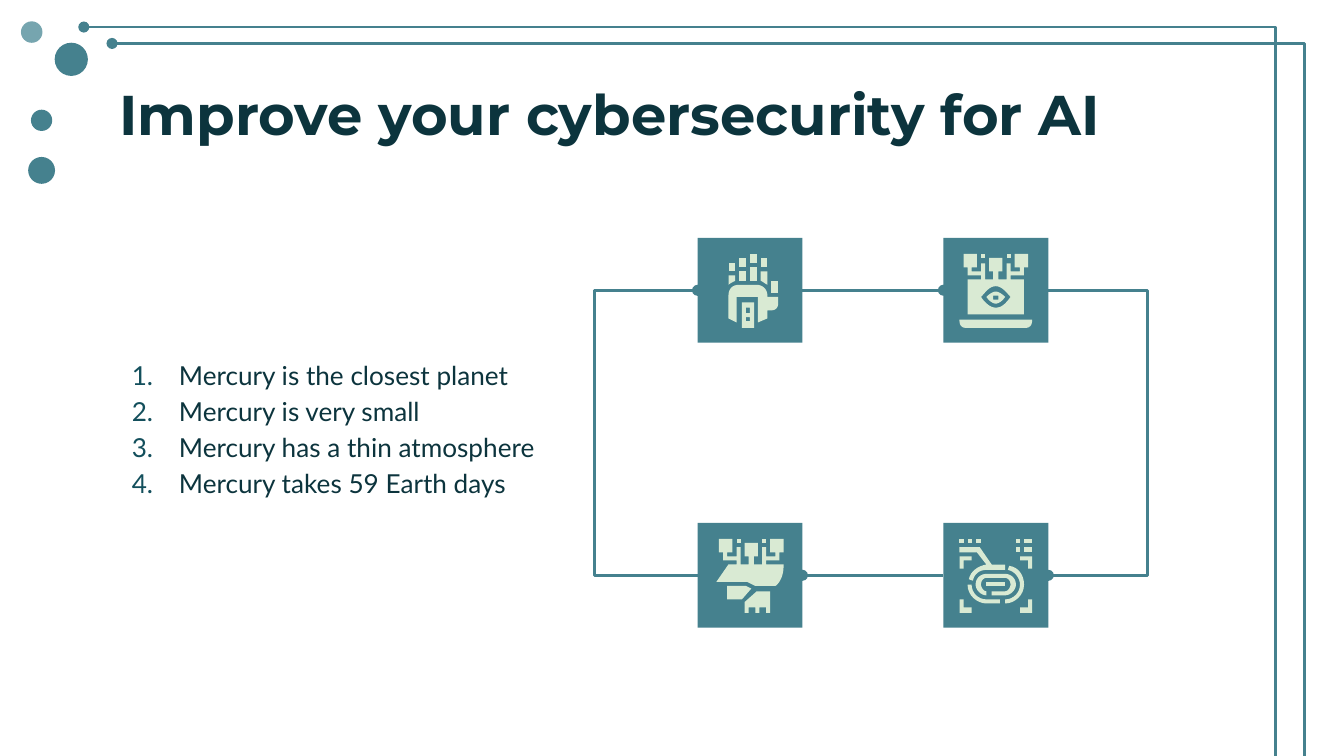
import pptx
import pptx.util
import pptx.dml.color
import pptx.enum.shapes
import pptx.enum.text
import pptx.oxml
import pptx.oxml.ns
from lxml import etree

Pt = pptx.util.Pt
RGBColor = pptx.dml.color.RGBColor
SHAPE = pptx.enum.shapes.MSO_SHAPE
CONNECTOR = pptx.enum.shapes.MSO_CONNECTOR
qn = pptx.oxml.ns.qn

TEAL = RGBColor(0x45, 0x81, 0x8E)
PALE_TEAL = RGBColor(0x76, 0xA5, 0xAF)
NUMBER_TEAL = RGBColor(0x13, 0x4F, 0x5C)
INK = RGBColor(0x0C, 0x34, 0x3D)
MINT = RGBColor(0xD9, 0xEA, 0xD3)

TILE = 56.2
LEFT, RIGHT = 373.7, 505.4
TOP, BOTTOM = 127.4, 280.1
GRID = Pt(0.72)
CURVE_STEPS = 8

DOTS = [(17, 17.2, 11.5, PALE_TEAL), (22.3, 91.3, 14.4, TEAL),
        (22.3, 64.5, 11.4, TEAL), (38.2, 31.8, 17.8, TEAL)]

FACTS = ["Mercury is the closest planet", "Mercury is very small",
         "Mercury has a thin atmosphere", "Mercury takes 59 Earth days"]

DIGITAL_HEAD = [
    "R 33 48 42 67 / R 36 52 39 56 / R 36 59 39 62",
    "R 23 19 28 25", "R 31 15 36 22", "R 39 12 44 19", "R 47 15 52 22",
    "R 31 25 36 32", "R 39 22 44 32", "R 55 32 60 41",
    "23 28 23 35 C 24 34 26 33 28 32 28 28",
    "47 25 47 32 C 49 33 50 34 52 35 52 25",
    "31 35 C 26 35 23 38 23 43 23 60 29 63 29 44 45 44 45 63 52 60 52 54 55 54"
    " C 58 54 60 52 60 49 60 44 52 44 52 43 C 52 38 48 35 44 35",
]
LAPTOP = [
    "R 28 12 31 15", "R 47 12 50 15",
    "39 36 C 44 36 48 42 50 44 C 47 48 44 52 39 52 C 34 52 30 47 28 44"
    " C 31 41 34 36 39 36 / 53 12 53 22 57 22 57 25 50 25 50 19 47 19 47 31"
    " 41 31 41 25 44 25 44 15 34 15 34 25 37 25 37 31 31 31 31 19 28 19 28 25"
    " 21 25 21 22 25 22 25 12 15 12 15 22 18 22 18 28 28 28 28 31 18 31 18 57"
    " 60 57 60 31 50 31 50 28 60 28 60 22 63 22 63 12",
    "12 61 12 62 C 12 65 14 67 16 67 62 67 C 64 67 66 65 66 62 66 61",
    "R 37 43 41 46 / 39 40 C 37 40 34 42 32 44 C 34 47 37 49 39 49"
    " C 41 49 44 47 46 44 C 44 42 41 40 39 40",
]
HAND = [
    "54 12 54 22 58 22 58 25 51 25 51 18 48 18 48 31 42 31 42 25 45 25 45 15"
    " 35 15 35 25 38 25 38 31 32 31 32 18 29 18 29 25 22 25 22 22 26 22 26 12"
    " 16 12 16 22 19 22 19 28 29 28 29 31 23 31 14 44 37 44 43 47 58 47"
    " C 62 44 64 38 64 33 64 31 51 31 51 28 61 28 61 22 64 22 64 12",
    "R 29 12 32 15", "R 48 12 51 15",
    "44 51 35 59 35 67 38 67 38 63 43 63 43 67 46 67 46 63 51 63 51 67 54 67 54 51",
    "22 47 22 57 33 57 40 49 36 47",
]
FINGERPRINT = [
    "57 25 57 28 63 28 63 34 66 34 66 25", "63 57 63 63 57 63 57 67 66 67 66 57",
    "12 25 12 34 15 34 15 28 21 28 21 25", "12 57 12 67 21 67 21 63 15 63 15 57",
    "12 18 12 22 25 22 32 31 C 26 32 20 36 19 42 22 43 C 23 38 27 35 32 35"
    " 46 35 46 31 36 31 27 18",
    "R 12 12 15 15", "R 18 12 21 15", "R 24 12 28 15", "R 54 12 57 15",
    "R 54 18 57 22", "R 60 12 66 15", "R 60 18 66 22", "R 32 44 46 47",
    "49 32 48 35 C 53 36 57 41 57 46 C 57 52 52 57 46 57 46 60"
    " C 53 60 60 54 60 46 C 60 39 56 33 49 32",
    "18 46 C 18 54 25 60 32 60 42 60 42 57 32 57 C 26 57 21 52 21 46",
    "32 38 C 28 38 24 41 24 46 C 24 50 28 54 32 54 32 51 C 30 51 28 48 28 46"
    " C 28 43 30 41 32 41 46 41 C 48 41 50 43 50 46 C 50 48 48 51 46 51"
    " 36 51 36 54 46 54 C 50 54 54 50 54 46 C 54 41 50 38 46 38",
]


def paint(shape, color):
    shape.shadow.inherit = False
    shape.fill.solid()
    shape.fill.fore_color.rgb = color
    shape.line.fill.background()


def add_solid(page, kind, left, top, size, color):
    shape = page.shapes.add_shape(kind, Pt(left), Pt(top), Pt(size), Pt(size))
    paint(shape, color)
    return shape


def bezier(corners):
    for step in range(1, CURVE_STEPS + 1):
        t = step / CURVE_STEPS
        weights = ((1 - t) ** 3, 3 * t * (1 - t) ** 2, 3 * t * t * (1 - t), t ** 3)
        yield tuple(sum(w * c[axis] for w, c in zip(weights, corners)) for axis in (0, 1))


def contour_points(contour):
    words = contour.split()
    if words[0] == "R":
        left, top, right, bottom = map(int, words[1:])
        return [(left, top), (right, top), (right, bottom), (left, bottom)]
    points = []
    while words:
        curved = words[0] == "C"
        start, count = (1, 6) if curved else (0, 2)
        numbers = [int(word) for word in words[start:start + count]]
        pairs = list(zip(numbers[::2], numbers[1::2]))
        points += bezier([points[-1]] + pairs) if curved else pairs
        words = words[start + count:]
    return points


def add_icon(page, tile, outlines):
    for outline in outlines:
        builder = None
        for contour in outline.split("/"):
            points = [(x * GRID, y * GRID) for x, y in contour_points(contour)]
            if builder is None:
                builder = page.shapes.build_freeform(*points[0])
            else:
                builder.move_to(*points[0])
            builder.add_line_segments(points[1:], close=True)
        paint(builder.convert_to_shape(tile.left, tile.top), MINT)


def add_line(page, kind, begin, end, dot, bend_x=None):
    line = page.shapes.add_connector(kind, *(Pt(value) for value in begin + end))
    line.line.color.rgb = TEAL
    line.line.width = Pt(1.5)
    properties = line.line._get_or_add_ln()
    etree.SubElement(properties, qn("a:" + dot), type="oval")
    etree.SubElement(line._element.spPr, qn("a:effectLst"))
    if bend_x is not None:
        share = (bend_x - begin[0]) / (end[0] - begin[0])
        guides = line._element.spPr.find(qn("a:prstGeom")).get_or_add_avLst()
        etree.SubElement(guides, qn("a:gd"), name="adj1", fmla=f"val {round(share * 100000)}")
    return line


def join_tiles(page, first, second, dot):
    line = add_line(page, CONNECTOR.STRAIGHT, (0, 0), (1, 1), dot)
    line.begin_connect(first, 3)
    line.end_connect(second, 1)


def fill_placeholder(box, place, texts, font_name, size, bold, numbered):
    box.left, box.top, box.width, box.height = map(Pt, place)
    frame = box.text_frame
    frame.word_wrap = True
    frame.auto_size = pptx.enum.text.MSO_AUTO_SIZE.NONE
    frame.vertical_anchor = pptx.enum.text.MSO_ANCHOR.TOP
    frame.margin_left = frame.margin_right = Pt(7.2)
    frame.margin_top = frame.margin_bottom = Pt(7.2)
    frame.text = "\n".join(texts)
    for para in frame.paragraphs:
        para.alignment = pptx.enum.text.PP_ALIGN.LEFT
        para.space_before = Pt(0)
        if numbered:
            para.line_spacing = 1.15
            add_number(para)
        para.font.name = font_name
        para.font.size = Pt(size)
        para.font.bold = bold
        para.font.color.rgb = INK


def add_number(para):
    properties = para._p.get_or_add_pPr()
    properties.set("marL", str(Pt(36)))
    properties.set("indent", str(Pt(-25.2)))
    color = etree.SubElement(properties, qn("a:buClr"))
    etree.SubElement(color, qn("a:srgbClr"), val=str(NUMBER_TEAL))
    etree.SubElement(properties, qn("a:buFont"), typeface="Lato")
    etree.SubElement(properties, qn("a:buAutoNum"), type="arabicPeriod")


def main():
    deck = pptx.Presentation()
    deck.slide_width, deck.slide_height = Pt(720), Pt(405)
    page = deck.slides.add_slide(deck.slide_layouts[1])
    title, body = page.placeholders
    fill_placeholder(title, (56.9, 35.3, 607, 45.4), ["Improve your cybersecurity for AI"],
                     "Montserrat", 30, True, False)
    fill_placeholder(body, (52.6, 182.9, 255.6, 92.2), FACTS, "Lato", 14, False, True)

    for x, y, size, color in DOTS:
        add_solid(page, SHAPE.OVAL, x - size / 2, y - size / 2, size, color)
    for x, y, bend_x in ((44.9, 14.5, 683.4), (60, 23.3, 698.6)):
        add_line(page, CONNECTOR.ELBOW, (x, y), (x + 675.4, y + 403.2), "headEnd", bend_x)

    upper, lower = TOP + TILE / 2, BOTTOM + TILE / 2
    for x, bend_x, dot in ((LEFT, 325.2, "headEnd"), (RIGHT + TILE, 608.4, "tailEnd")):
        add_line(page, CONNECTOR.ELBOW, (x, upper), (x + 0.05, lower), dot, bend_x)

    spots = [(LEFT, TOP), (RIGHT, TOP), (LEFT, BOTTOM), (RIGHT, BOTTOM)]
    tiles = [add_solid(page, SHAPE.RECTANGLE, x, y, TILE, TEAL) for x, y in spots]
    join_tiles(page, tiles[0], tiles[1], "tailEnd")
    join_tiles(page, tiles[2], tiles[3], "headEnd")
    for tile, icon in zip(tiles, (DIGITAL_HEAD, LAPTOP, HAND, FINGERPRINT)):
        add_icon(page, tile, icon)
    deck.save("out.pptx")


if __name__ == "__main__":
    main()
